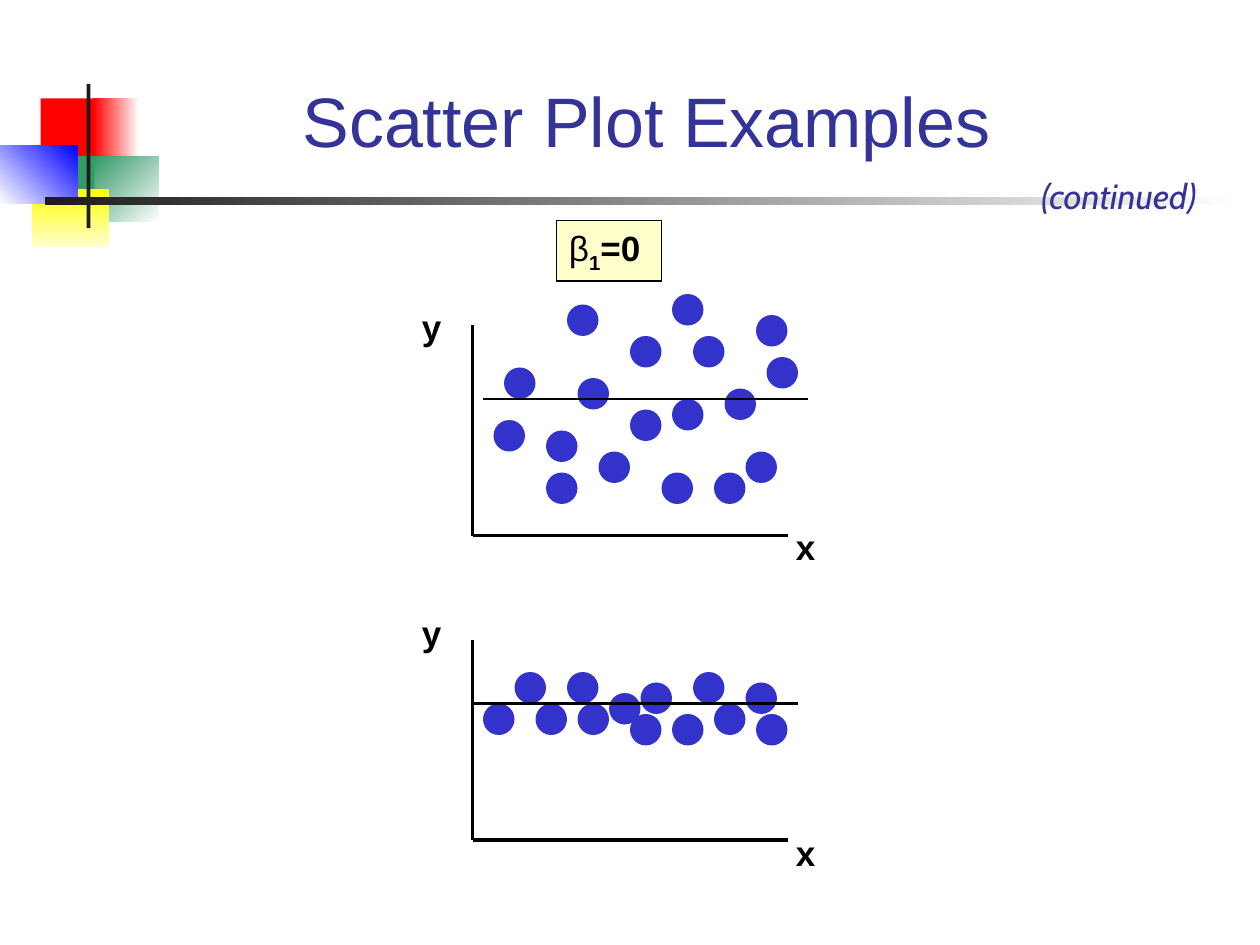
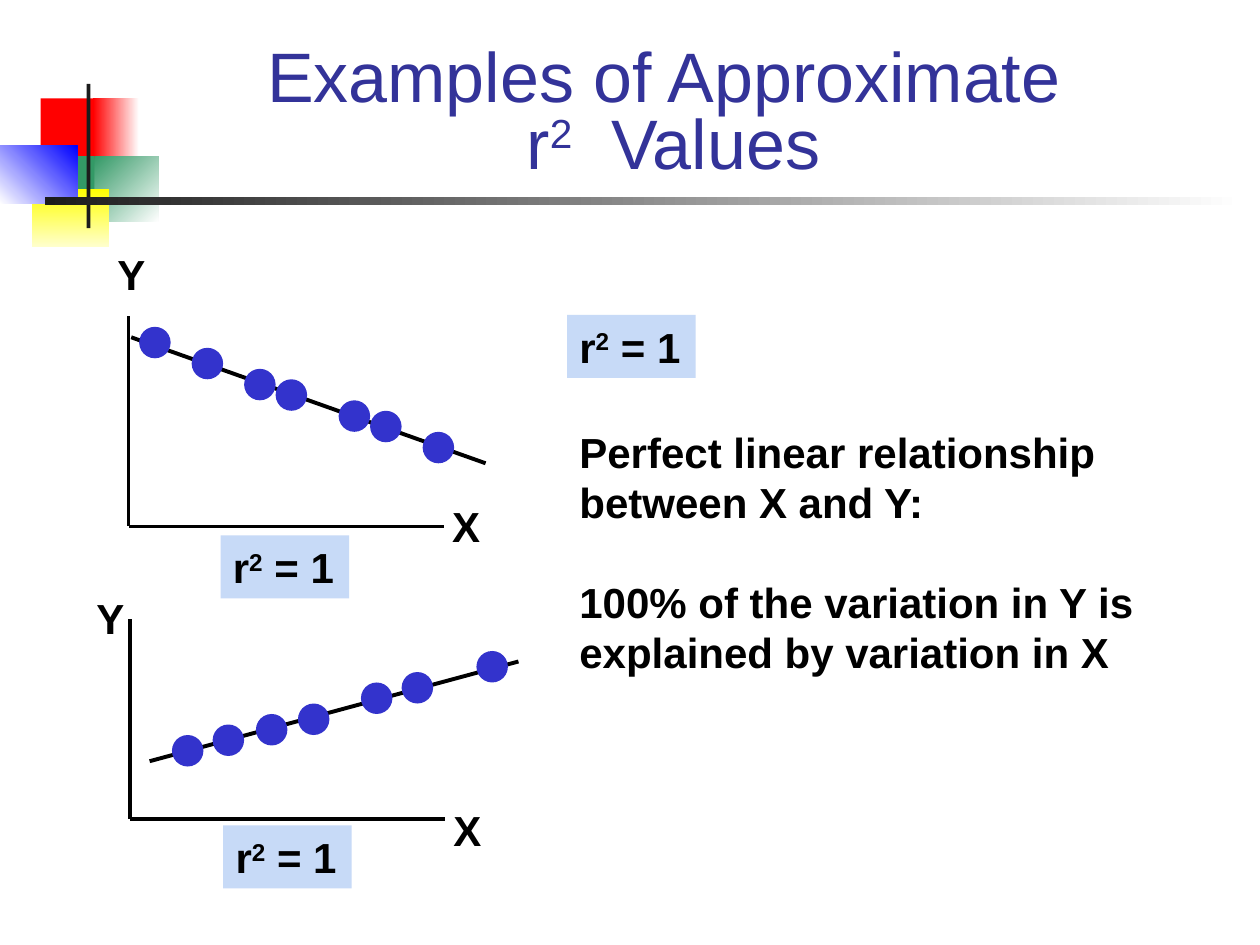
"""Build two slides of scatter plot examples."""
from lxml.etree import SubElement
from pptx import Presentation
from pptx.dml.color import RGBColor as Rgb
from pptx.enum.shapes import MSO_CONNECTOR as Connector, MSO_SHAPE as Preset
from pptx.enum.text import MSO_ANCHOR as Anchor, MSO_AUTO_SIZE as AutoSize, PP_ALIGN as Align
from pptx.oxml.ns import qn
from pptx.util import Pt

PX = 9525
DOT = 24
AXIS_WIDTH = 240
COLORS = {
    "title": "333399", "dot": "3333CC", "ink": "000000", "bar": "1C1C1C",
    "red": "FF0000", "green": "339966", "yellow": "FFFF00", "cream": "FFFFCC",
    "blue": "0000FF", "white": "FFFFFF", "note": "C7DAF7",
}
TITLE = {"name": "Arial", "size": Pt(40), "color": "title"}
CONTINUED = {"name": "Cabin", "size": Pt(20), "italic": True, "color": "title"}
SMALL = {"name": "Arial", "size": Pt(20), "bold": True, "color": "ink"}
LARGE = {**SMALL, "size": Pt(24)}
R_SQUARED = [[("r", {}), ("2", {"baseline": 30000}), (" = 1", {})]]

MOTIF = [
    ((31, 75, 46, 50), ["red"], 0),
    ((71, 75, 35, 50), ["red", "white"], 0),
    ((72, 119, 49, 50), ["green", "white"], 45),
    ((41, 119, 31, 50), ["green"], 0),
    ((24, 144, 59, 44), ["yellow", "cream"], 90),
    ((0, 111, 59, 44), ["white", "blue"], 315),
    ((66, 64, 3, 110), ["bar"], 0),
    ((34, 150, 913, 6), ["bar", "white"], 0),
]

SCATTER_PLOTS = [
    {"origin": (360, 408), "top": 248, "y_at": (312, 228), "x_at": (597, 396),
     "trend": (368, 304, 616, 304),
     "dots": [(512, 224), (376, 320), (568, 344), (584, 272), (416, 360), (432, 232),
              (512, 304), (528, 256), (576, 240), (480, 256), (416, 328), (440, 288),
              (544, 360), (480, 312), (456, 344), (384, 280), (504, 360), (552, 296)]},
    {"origin": (360, 640), "top": 488, "y_at": (312, 461), "x_at": (597, 629),
     "trend": (360, 536, 608, 536),
     "dots": [(576, 544), (408, 536), (568, 520), (432, 512), (528, 512), (544, 536),
              (464, 528), (368, 536), (392, 512), (440, 536), (512, 544), (488, 520),
              (480, 544)]},
]
R_SQUARED_PLOTS = [
    {"origin": (98, 401), "top": 241, "y_at": (80, 185), "x_at": (335, 377),
     "trend": (370, 353, 100, 257),
     "dots": [(106, 249), (146, 265), (186, 281), (210, 289), (258, 305), (282, 313),
              (322, 329)]},
    {"origin": (99, 624), "top": 472, "y_at": (64, 447), "x_at": (336, 608),
     "trend": (114, 580, 395, 504),
     "dots": [(131, 560), (162, 552), (195, 544), (227, 536), (275, 520), (306, 512),
              (363, 496)]},
]
SLIDES = [
    {"plots": SCATTER_PLOTS, "labels": ("y", "x"), "label_size": (35, 41),
     "label_style": SMALL, "trend_weight": 1.5, "trend_on_top": True,
     "texts": [
         ((121, 24, 743, 104), [[("Scatter Plot Examples", {})]], TITLE,
          {"align": Align.CENTER, "anchor": Anchor.BOTTOM}),
         ((424, 168, 80, 46),
          [[("β", {"bold": False}), ("1", {"baseline": -25000}), ("=0", {})]], SMALL,
          {"fill": "cream", "outline": "ink"}),
         ((784, 128, 155, 42), [[("(continued)", {})]], CONTINUED, {"wrap": False}),
     ]},
    {"plots": R_SQUARED_PLOTS, "labels": ("Y", "X"), "label_size": (40, 48),
     "label_style": LARGE, "trend_weight": 2.25, "trend_on_top": False,
     "texts": [
         ((104, 32, 818, 112),
          [[("Examples of Approximate ", {}), ("\n", {}), ("r", {}),
            ("2", {"baseline": 30000}), ("  Values", {})]], TITLE,
          {"align": Align.CENTER, "anchor": Anchor.BOTTOM, "spacing": 0.8}),
         *[((left, top, 98, 48), R_SQUARED, LARGE, {"fill": "note", "wrap": False})
           for left, top in [(432, 240), (168, 408), (170, 629)]],
         ((432, 320, 464, 202),
          [[("Perfect linear relationship between X and Y:", {})],
           [("100% of the variation in Y is explained by variation in X", {})]], LARGE,
          {"gap": 28}),
     ]},
]


def add_text(page, frame, paragraphs, style, wrap=True, align=Align.LEFT,
             anchor=Anchor.TOP, spacing=None, gap=0, fill=None, outline=None):
    box = page.shapes.add_textbox(*[PX * value for value in frame])
    if fill:
        box.fill.solid()
        box.fill.fore_color.rgb = Rgb.from_string(COLORS[fill])
    if outline:
        box.line.color.rgb = Rgb.from_string(COLORS[outline])
        box.line.width = Pt(1)
    body = box.text_frame
    sizing = AutoSize.SHAPE_TO_FIT_TEXT if anchor == Anchor.TOP else AutoSize.NONE
    for name, value in {"word_wrap": wrap, "vertical_anchor": anchor,
                        "auto_size": sizing}.items():
        setattr(body, name, value)
    for index, spans in enumerate(paragraphs):
        para = body.add_paragraph() if index else body.paragraphs[0]
        para.alignment = align
        para.line_spacing = spacing
        para.space_before = Pt(gap if index else 0)
        for text, changes in spans:
            if text == "\n":
                para.add_line_break()
                continue
            span = para.add_run()
            span.text = text
            for name, value in {**style, **changes}.items():
                if name == "color":
                    span.font.color.rgb = Rgb.from_string(COLORS[value])
                elif name == "baseline":
                    span._r.get_or_add_rPr().set("baseline", str(value))
                else:
                    setattr(span.font, name, value)


def add_line(page, ends, weight):
    line = page.shapes.add_connector(Connector.STRAIGHT, *[PX * value for value in ends])
    line.line.color.rgb = Rgb.from_string(COLORS["ink"])
    line.line.width = Pt(weight)
    SubElement(line._element.spPr, qn("a:effectLst"))


deck = Presentation()
deck.slide_width, deck.slide_height = 960 * PX, 720 * PX

for content in SLIDES:
    page = deck.slides.add_slide(deck.slide_layouts[6])

    for frame, shades, angle in MOTIF:
        block = page.shapes.add_shape(Preset.RECTANGLE, *[PX * value for value in frame])
        block.shadow.inherit = False
        block.line.fill.background()
        if len(shades) == 1:
            block.fill.solid()
            block.fill.fore_color.rgb = Rgb.from_string(COLORS[shades[0]])
        else:
            block.fill.gradient()
            block.fill.gradient_angle = (360 - angle) % 360
            for stop, shade in zip(block.fill.gradient_stops, shades):
                stop.color.rgb = Rgb.from_string(COLORS[shade])

    for plot in content["plots"]:
        left, bottom = plot["origin"]
        add_line(page, (left, plot["top"], left, bottom), 2)
        add_line(page, (left, bottom, left + AXIS_WIDTH, bottom), 2)
        for label, corner in zip(content["labels"], (plot["y_at"], plot["x_at"])):
            add_text(page, corner + content["label_size"], [[(label, {})]],
                     content["label_style"], wrap=False)
        if not content["trend_on_top"]:
            add_line(page, plot["trend"], content["trend_weight"])
        for x, y in plot["dots"]:
            dot = page.shapes.add_shape(Preset.OVAL, x * PX, y * PX, DOT * PX, DOT * PX)
            dot.shadow.inherit = False
            dot.line.fill.background()
            dot.fill.solid()
            dot.fill.fore_color.rgb = Rgb.from_string(COLORS["dot"])
        if content["trend_on_top"]:
            add_line(page, plot["trend"], content["trend_weight"])

    for frame, paragraphs, style, layout in content["texts"]:
        add_text(page, frame, paragraphs, style, **layout)

deck.save("out.pptx")
